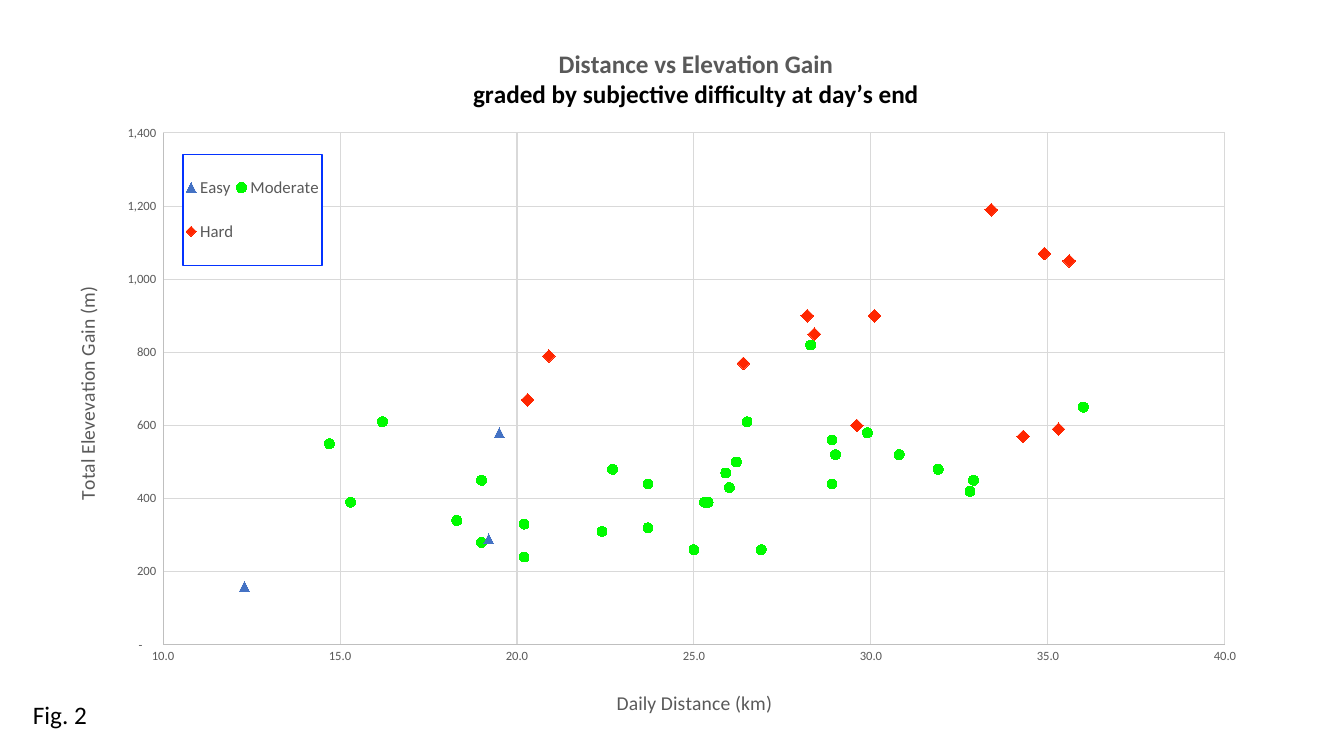
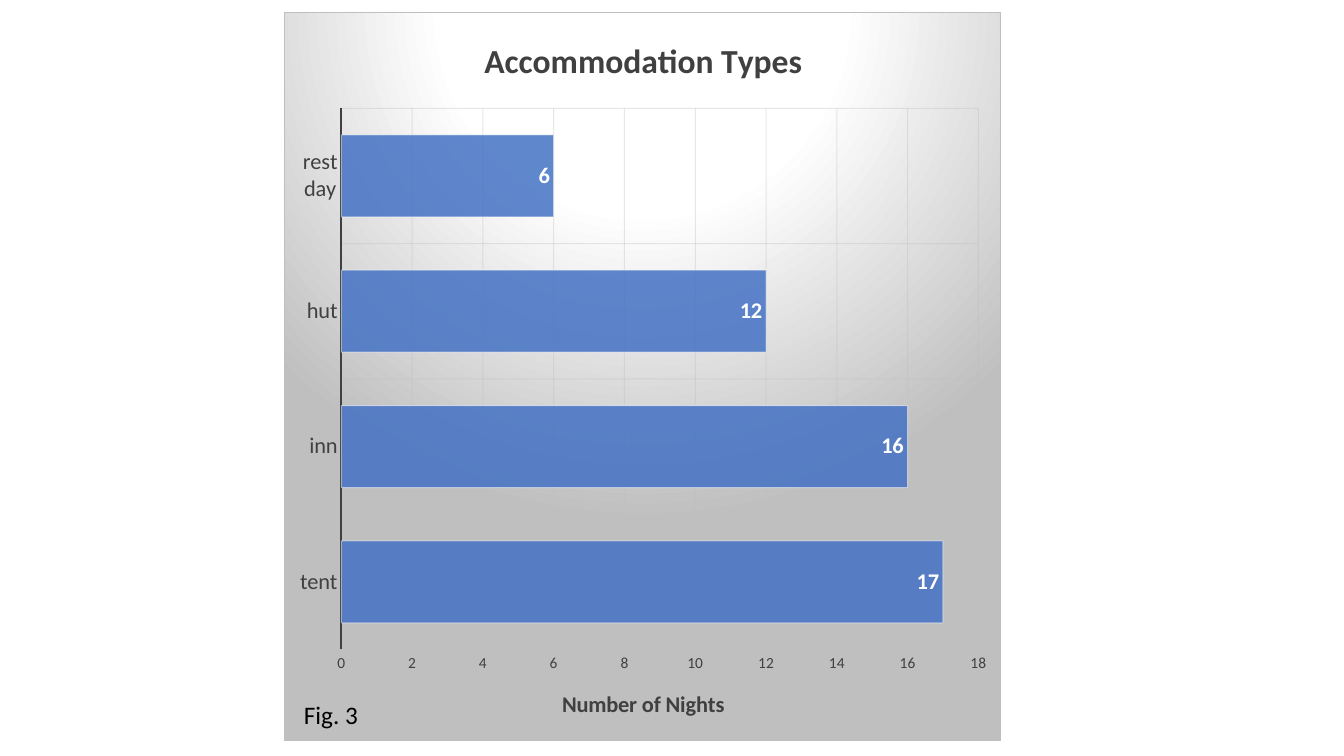
from lxml import etree
from pptx import Presentation
from pptx.chart.data import CategoryChartData, XyChartData
from pptx.dml.color import RGBColor
from pptx.enum.chart import (XL_CHART_TYPE, XL_LABEL_POSITION, XL_LEGEND_POSITION,
                             XL_MARKER_STYLE, XL_TICK_MARK)
from pptx.oxml import parse_xml
from pptx.oxml.ns import nsdecls, qn
from pptx.util import Emu, Pt

SCATTER, BAR = XL_CHART_TYPE.XY_SCATTER, XL_CHART_TYPE.BAR_CLUSTERED
TRIANGLE, CIRCLE, DIAMOND = (XL_MARKER_STYLE.TRIANGLE, XL_MARKER_STYLE.CIRCLE,
                             XL_MARKER_STYLE.DIAMOND)
INSIDE_END = XL_LABEL_POSITION.INSIDE_END
LEGEND_RIGHT = XL_LEGEND_POSITION.RIGHT
NO_TICK = XL_TICK_MARK.NONE

BLACK = RGBColor(0x00, 0x00, 0x00)
WHITE = RGBColor(0xFF, 0xFF, 0xFF)
INK = RGBColor(0x0D, 0x0D, 0x0D)
CHARCOAL = RGBColor(0x40, 0x40, 0x40)
GRAY = RGBColor(0x59, 0x59, 0x59)
SILVER = RGBColor(0xBF, 0xBF, 0xBF)
PALE = RGBColor(0xD9, 0xD9, 0xD9)
BLUE = RGBColor(0x44, 0x72, 0xC4)
GREEN = RGBColor(0x00, 0xFA, 0x00)
RED = RGBColor(0xFF, 0x26, 0x00)
FRAME_BLUE = RGBColor(0x04, 0x33, 0xFF)
FONT = "Calibri"
PX = 914400 / 100.8

# Difficulty: name, marker, size, colour
DIFFICULTY = [("Easy", TRIANGLE, 7, BLUE), ("Moderate", CIRCLE, 7, GREEN),
              ("Hard", DIAMOND, 9, RED)]
# One row per day: metres climbed, first letter of the difficulty, kilometres
REST = (None, "", None)
DAYS = [
    (610, "M", 16.2), (770, "H", 26.4), (320, "M", 23.7), (1050, "H", 35.6),
    (470, "M", 25.9), (520, "M", 30.8), (480, "M", 31.9), (550, "M", 14.7),
    (390, "M", 15.3), REST, (900, "H", 28.2), (790, "H", 20.9),
    (610, "M", 26.5), (820, "M", 28.3), (160, "E", 12.3), (450, "M", 32.9),
    (0, "", None), (650, "M", 36.0), (430, "M", 26.0), (580, "M", 29.9),
    (330, "M", 20.2), (310, "M", 22.4), REST, REST,
    (900, "H", 30.1), (570, "H", 34.3), (450, "M", 19.0), (390, "M", 25.3),
    (260, "M", 25.0), (420, "M", 32.8), (520, "M", 29.0), (240, "M", 20.2),
    (500, "M", 26.2), (670, "H", 20.3), (260, "M", 26.9), (290, "E", 19.2),
    REST, (1070, "H", 34.9), (1190, "H", 33.4), (600, "H", 29.6),
    (580, "E", 19.5), (850, "H", 28.4), (480, "M", 22.7), (590, "H", 35.3),
    (340, "M", 18.3), REST, (440, "M", 28.9), (560, "M", 28.9),
    (440, "M", 23.7), (390, "M", 25.4), (280, "M", 19.0),
]
NIGHTS = {"tent": 17, "inn": 16, "hut": 12, "rest day": 6}
ELEVATION_FORMAT = '_(* #,##0_);_(* \\(#,##0\\);_(* "-"??_);_(@_)'

# Gradient stops: position, colour, opacity (all in percent)
BACKDROP_STOPS = [(0, WHITE, 100), (39, WHITE, 100), (100, SILVER, 100)]
GRID_STOPS = [(0, SILVER, 36), (100, INK, 42)]

# Boxes in pixels: left, top, width, height; titles: left, top
SCATTER_BOX, SCATTER_PLOT = (23, 34, 1287, 701), (163, 133, 1062, 512)
LEGEND_BOX = (183, 154, 139, 111)
BAR_BOX, BAR_PLOT = (284, 12, 717, 729), (341, 108, 638, 542)


def write_text(tf, text, size=18, color=BLACK, bold=False):
    """Write each line of text as a paragraph; color may be one per line."""
    lines = text.split("\n")
    colors = color if isinstance(color, list) else [color] * len(lines)
    for i, (line, line_color) in enumerate(zip(lines, colors)):
        p = tf.add_paragraph() if i else tf.paragraphs[0]
        r = p.add_run()
        r.text = line
        set_font(r.font, size, line_color, bold)


def set_font(font, size, color, bold=False):
    """Set typeface, size, colour and weight."""
    font.name, font.size, font.bold = FONT, Pt(size), bold
    font.color.rgb = color


def set_line(line, color, width=0.75):
    """Set a line's colour and width."""
    line.color.rgb = color
    line.width = Pt(width)


def set_alpha(fill, percent):
    """Set the opacity of a solid fill."""
    clr = fill._xPr.find(qn("a:solidFill"))[0]
    etree.SubElement(clr, qn("a:alpha")).set("val", str(percent * 1000))


def gradient(stops, direction):
    """Return a gradient fill as XML text."""
    marks = "".join(
        f'<a:gs pos="{pos * 1000}"><a:srgbClr val="{color}">'
        f'<a:alpha val="{alpha * 1000}"/></a:srgbClr></a:gs>'
        for pos, color, alpha in stops)
    return f"<a:gradFill {nsdecls('a')}><a:gsLst>{marks}</a:gsLst>{direction}</a:gradFill>"


def place(element, box, frame, index=1, inner=False):
    """Give a chart part a manual layout, from a pixel box within the chart frame."""
    for old in element.findall(qn("c:layout")):
        element.remove(old)
    layout = parse_xml(f"<c:layout {nsdecls('c')}><c:manualLayout/></c:layout>")
    values = [("layoutTarget", "inner")] if inner else []
    values += [("xMode", "edge"), ("yMode", "edge")]
    left, top, width, height = frame
    fractions = [(box[0] - left) / width, (box[1] - top) / height]
    fractions += [n / whole for n, whole in zip(box[2:], (width, height))]
    values += [(tag, f"{n:.4f}") for tag, n in zip("xywh", fractions)]
    for tag, value in values:
        etree.SubElement(layout[0], qn("c:" + tag)).set("val", value)
    element.insert(index, layout)


def add_title(title, text, at, frame, upright=False, **fmt):
    """Fill a chart or axis title and place its top left corner."""
    tf = title.text_frame
    write_text(tf, text, **fmt)
    if upright:
        tf._txBody.bodyPr.set("rot", "-5400000")
        tf._txBody.bodyPr.set("vert", "horz")
    place(title._element, at, frame)


def style_axis(axis, size, color, line, line_width=0.75, fading=False):
    """Style an axis, its labels and its major gridlines."""
    axis.major_tick_mark = axis.minor_tick_mark = NO_TICK
    axis.has_major_gridlines = True
    grid = axis.major_gridlines.format.line
    set_line(grid, PALE)
    if fading:
        ln = grid.fill._xPr
        ln.replace(ln.find(qn("a:solidFill")),
                   parse_xml(gradient(GRID_STOPS, '<a:lin ang="5400000" scaled="0"/>')))
    set_font(axis.tick_labels.font, size, color)
    if line is None:
        axis.format.line.fill.background()
    else:
        set_line(axis.format.line, line, line_width)


def set_scale(axis, low, high, step, number_format):
    """Fix an axis range, step and number format."""
    axis.minimum_scale, axis.maximum_scale, axis.major_unit = low, high, step
    axis.tick_labels.number_format = number_format
    axis.tick_labels.number_format_is_linked = False


def add_chart(s, kind, data, frame, plot_box):
    """Add a chart with the shared font and a fixed plot area."""
    chart = s.shapes.add_chart(kind, *[Emu(round(n * PX)) for n in frame], data).chart
    set_font(chart.font, 10, BLACK)
    chart.has_legend = False
    chart.plots[0].vary_by_categories = False
    place(chart._chartSpace.chart.plotArea, plot_box, frame, index=0, inner=True)
    return chart


def add_caption(s, text, left):
    """Add the figure number at the foot of a slide."""
    sp = s.shapes.add_textbox(*[Emu(round(n * PX)) for n in (left, 694, 127, 40)])
    sp.text_frame.word_wrap = True
    write_text(sp.text_frame, text)


def add_frame(element, fill, color):
    """Add a filled, thinly bordered background after a chart element."""
    element.addnext(parse_xml(
        f"<c:spPr {nsdecls('c', 'a')}>{fill}<a:ln w=\"9525\"><a:solidFill>"
        f'<a:srgbClr val="{color}"/></a:solidFill></a:ln></c:spPr>'))


def add_legend(chart):
    """Add the framed legend inside the plot area."""
    chart.has_legend = True
    legend = chart.legend
    legend.position, legend.include_in_layout = LEGEND_RIGHT, False
    set_font(legend.font, 12, GRAY)
    place(legend._element, LEGEND_BOX, SCATTER_BOX)
    white_fill = f'<a:solidFill><a:srgbClr val="{WHITE}"/></a:solidFill>'
    add_frame(legend._element.find(qn("c:overlay")), white_fill, FRAME_BLUE)


def build_elevation(s):
    """Scatter chart of distance against elevation gain."""
    data = XyChartData()
    for name, *_ in DIFFICULTY:
        series = data.add_series(name)
        for metres, grade, km in DAYS:
            series.add_data_point(km if grade == name[0] else None, metres)
    chart = add_chart(s, SCATTER, data, SCATTER_BOX, SCATTER_PLOT)
    for series, (_, style, size, color) in zip(chart.plots[0].series, DIFFICULTY):
        series.format.line.fill.background()
        marker = series.marker
        marker.style, marker.size = style, size
        marker.format.fill.solid()
        marker.format.fill.fore_color.rgb = color
        set_line(marker.format.line, color)
    distance, gain = chart.category_axis, chart.value_axis
    for axis in (distance, gain):
        style_axis(axis, 9, GRAY, SILVER)
    set_scale(distance, 10, 40, 5, "0.0")
    set_scale(gain, 0, 1400, 200, ELEVATION_FORMAT)
    add_title(chart.chart_title,
              "Distance vs Elevation Gain\ngraded by subjective difficulty at day’s end",
              (470, 44), SCATTER_BOX, color=[GRAY, BLACK], bold=True)
    add_title(distance.axis_title, "Daily Distance (km)", (613, 686), SCATTER_BOX,
              size=14, color=GRAY)
    add_title(gain.axis_title, "Total Elevevation Gain (m)", (70, 283), SCATTER_BOX,
              upright=True, size=14, color=GRAY)
    add_legend(chart)
    add_caption(s, "Fig. 2", 23)


def build_accommodation(s):
    """Bar chart of nights by accommodation type."""
    data = CategoryChartData()
    data.categories = list(NIGHTS)
    data.add_series("Series 1", list(NIGHTS.values()))
    chart = add_chart(s, BAR, data, BAR_BOX, BAR_PLOT)
    halo = ('<a:path path="circle">'
            '<a:fillToRect l="50000" t="-80000" r="50000" b="180000"/></a:path>')
    add_frame(chart._chartSpace.chart, gradient(BACKDROP_STOPS, halo), SILVER)
    plot = chart.plots[0]
    plot.gap_width = 65
    series = plot.series[0]
    series.format.fill.solid()
    series.format.fill.fore_color.rgb = BLUE
    set_alpha(series.format.fill, 85)
    set_line(series.format.line, WHITE)
    set_alpha(series.format.line.fill, 50)
    labels = series.data_labels
    labels.show_value, labels.position = True, INSIDE_END
    set_font(labels.font, 16, WHITE, bold=True)
    nights = chart.value_axis
    style_axis(chart.category_axis, 16, CHARCOAL, CHARCOAL, 1.5, fading=True)
    style_axis(nights, 11, CHARCOAL, None, fading=True)
    set_scale(nights, 0, 18, 2, "General")
    add_title(chart.chart_title, "Accommodation Types", (478, 32), BAR_BOX,
              size=24, color=CHARCOAL, bold=True)
    add_title(nights.axis_title, "Number of Nights", (558, 685), BAR_BOX,
              size=16, color=CHARCOAL, bold=True)
    add_caption(s, "Fig. 3", 294)


prs = Presentation()
prs.slide_width, prs.slide_height = Emu(round(1344 * PX)), Emu(round(756 * PX))
for build in (build_elevation, build_accommodation):
    build(prs.slides.add_slide(prs.slide_layouts[6]))
prs.save("out.pptx")
